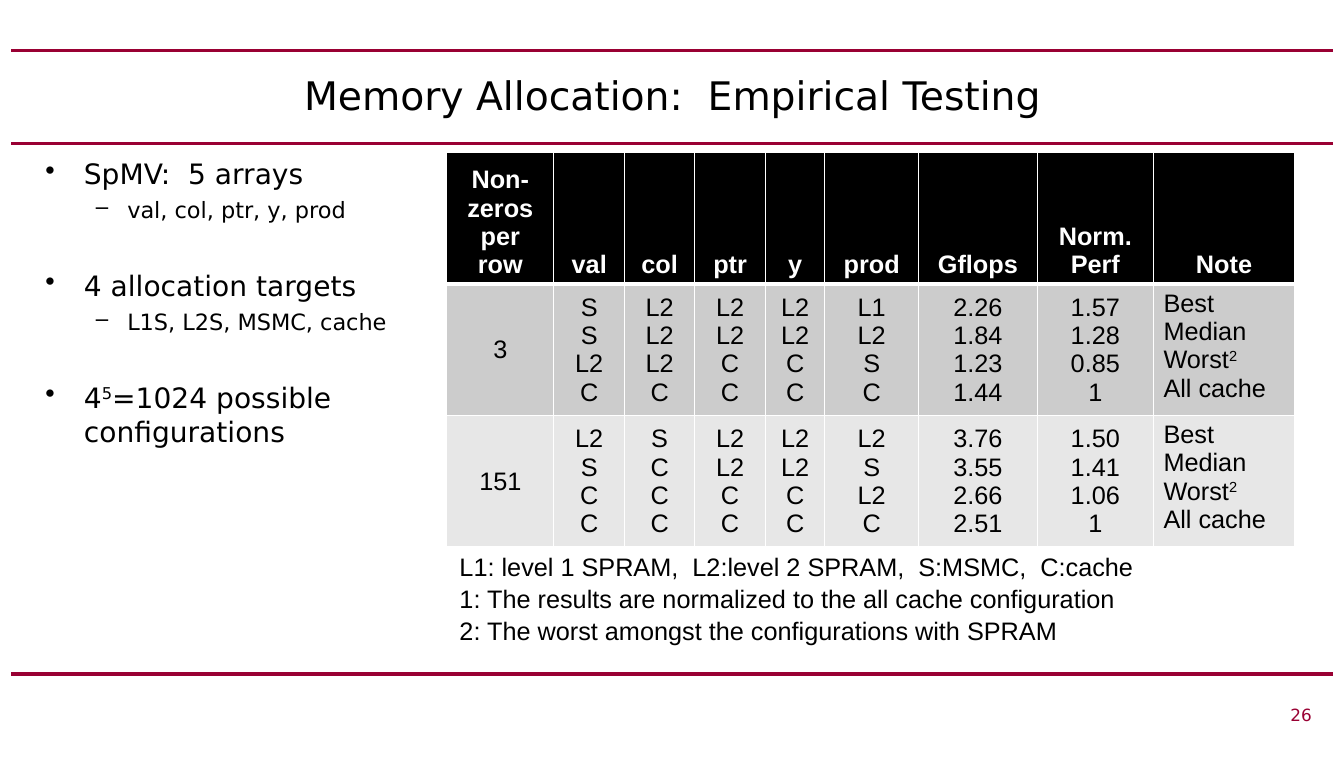
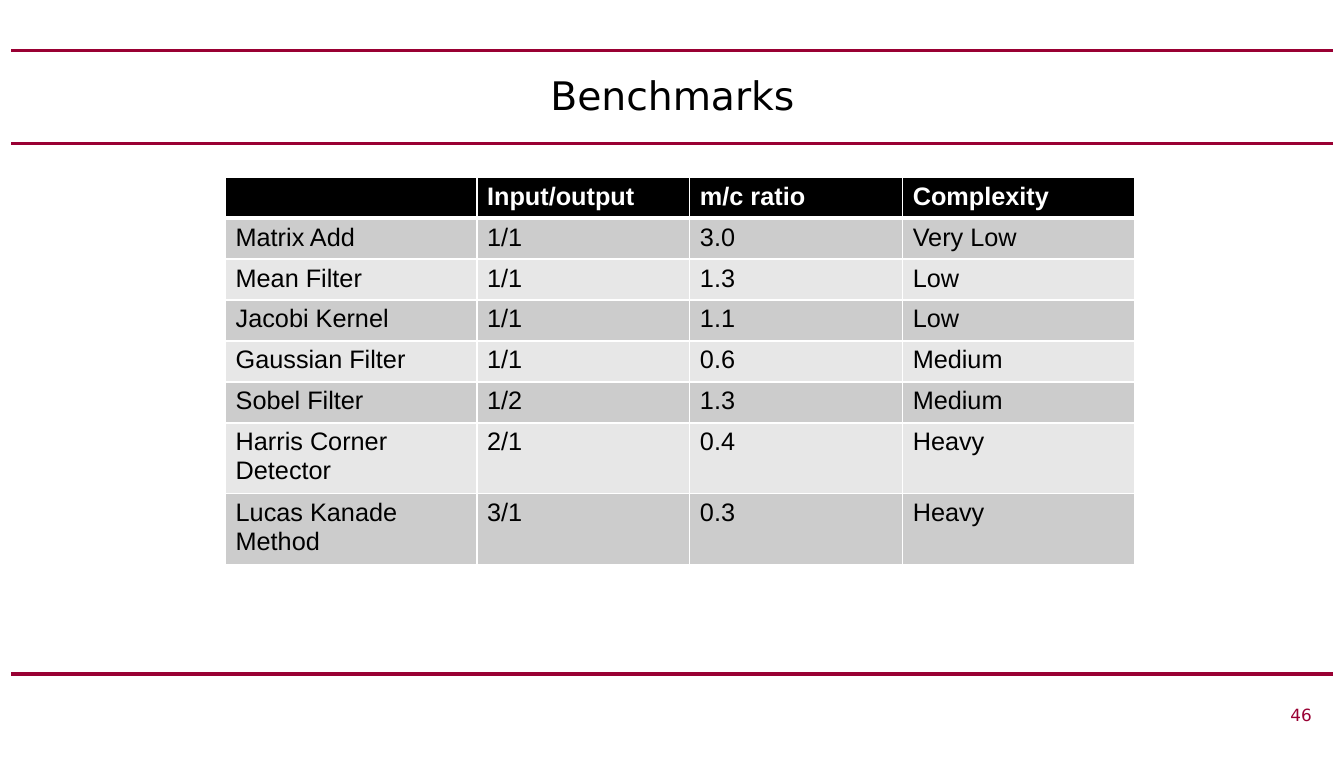
from lxml import etree
from pptx import Presentation
from pptx import util as u
from pptx.dml import color
from pptx.enum import shapes, text
from pptx.oxml import ns

MAROON, BLACK, WHITE = "990033", "000000", "FFFFFF"
BANDS = ("CCCCCC", "E7E7E7")
TITLE_FONT, TABLE_FONT = "DejaVu Sans", "Arial"
LEFT, CENTER, RIGHT = text.PP_ALIGN.LEFT, text.PP_ALIGN.CENTER, text.PP_ALIGN.RIGHT
TOP, MIDDLE, BOTTOM = text.MSO_ANCHOR.TOP, text.MSO_ANCHOR.MIDDLE, text.MSO_ANCHOR.BOTTOM


def rgb(value):
    return color.RGBColor.from_string(value)


def add_runs(paragraph, content, size, font, ink=BLACK, bold=False):
    """Add runs; parts between carets are superscript."""
    for index, part in enumerate(content.split("^")):
        if not part:
            continue
        run = paragraph.add_run()
        run.text = part
        run.font.size = u.Pt(size)
        run.font.name = font
        run.font.bold = bold
        run.font.color.rgb = rgb(ink)
        if index % 2:
            run._r.get_or_add_rPr().set("baseline", "30000")


def each_paragraph(frame, items):
    """Pair every item with a paragraph of the frame."""
    for index, item in enumerate(items):
        yield (frame.add_paragraph() if index else frame.paragraphs[0]), item


def add_text(slide, box, content, size, font, ink=BLACK, align=LEFT, anchor=TOP, gap=0):
    frame = slide.shapes.add_textbox(*map(u.Cm, box)).text_frame
    frame.word_wrap = True
    frame.vertical_anchor = anchor
    for index, (paragraph, line) in enumerate(each_paragraph(frame, content.split("\n"))):
        paragraph.alignment = align
        if index:
            paragraph.space_before = u.Pt(gap)
        add_runs(paragraph, line, size, font, ink)


def add_bullets(slide, box, items):
    frame = slide.shapes.add_textbox(*map(u.Cm, box)).text_frame
    frame.word_wrap = True
    styles = (("•", 0.97, -0.97, 20, 32.5), ("–", 2.06, -0.79, 16, 4))
    for index, (paragraph, (level, content)) in enumerate(each_paragraph(frame, items)):
        mark, margin, indent, size, before = styles[level]
        paragraph.level = level
        properties = paragraph._p.get_or_add_pPr()
        properties.set("marL", str(u.Cm(margin)))
        properties.set("indent", str(u.Cm(indent)))
        etree.SubElement(properties, ns.qn("a:buChar")).set("char", mark)
        if index:
            paragraph.space_before = u.Pt(before)
        add_runs(paragraph, content, size, TITLE_FONT)


def add_borders(cell, top, bottom):
    properties = cell._tc.get_or_add_tcPr()
    for side, width in (("L", 1), ("R", 1), ("T", top), ("B", bottom)):
        line = etree.SubElement(properties, ns.qn("a:ln" + side))
        line.set("w", str(u.Pt(width)))
        fill = etree.SubElement(line, ns.qn("a:solidFill"))
        etree.SubElement(fill, ns.qn("a:srgbClr")).set("val", WHITE)


def fill_cell(cell, content, row, align, anchor):
    header = row == 0
    add_borders(cell, 3 if row == 1 else 1, 3 if header else 1)
    cell.fill.solid()
    cell.fill.fore_color.rgb = rgb(BLACK if header else BANDS[(row - 1) % 2])
    cell.vertical_anchor = anchor
    for paragraph, line in each_paragraph(cell.text_frame, content.split("\n")):
        paragraph.alignment = align
        paragraph.font.size = u.Pt(18)
        add_runs(paragraph, line, 18, TABLE_FONT, WHITE if header else BLACK, header)


def add_table(slide, left, top, widths, heights, rows, style):
    """Draw a banded table; style(row, column) gives alignment and anchor."""
    frame = slide.shapes.add_table(len(heights), len(widths), u.Cm(left), u.Cm(top),
                                   u.Cm(sum(widths)), u.Cm(sum(heights)))
    table = frame.table
    table.first_row = table.horz_banding = False
    for column, width in zip(table.columns, widths):
        column.width = u.Cm(width)
    for row, height in zip(table.rows, heights):
        row.height = u.Cm(height)
    for row, contents in enumerate(rows):
        for column, content in enumerate(contents):
            fill_cell(table.cell(row, column), content, row, *style(row, column))


def add_rule(slide, y):
    rule = slide.shapes.add_connector(shapes.MSO_CONNECTOR.STRAIGHT,
                                      u.Cm(0.28), u.Cm(y), u.Cm(33.5), u.Cm(y))
    rule.line.color.rgb = rgb(MAROON)
    rule.line.width = u.Pt(2.25)
    etree.SubElement(rule._element.spPr, ns.qn("a:effectLst"))


def add_slide(presentation, title, number):
    slide = presentation.slides.add_slide(presentation.slide_layouts[6])
    for y in (1.27, 3.61, 16.94):
        add_rule(slide, y)
    add_text(slide, (1.7, 1.27, 30.4, 2.21), title, 28, TITLE_FONT,
             align=CENTER, anchor=MIDDLE)
    add_text(slide, (30.7, 17.58, 2.52, 0.84), str(number), 12, TITLE_FONT, MAROON, RIGHT)
    return slide


def allocation_style(row, column):
    if row == 0:
        return CENTER, BOTTOM
    return (LEFT, TOP) if column == 8 else (CENTER, MIDDLE)


def add_allocation_slide(presentation):
    slide = add_slide(presentation, "Memory Allocation:  Empirical Testing", 26)
    notes = "Best\nMedian\nWorst^2^\nAll cache"
    rows = (
        ("Non-zeros per row", "val", "col", "ptr", "y", "prod", "Gflops", "Norm.\nPerf", "Note"),
        ("3", "S\nS\nL2\nC", "L2\nL2\nL2\nC", "L2\nL2\nC\nC", "L2\nL2\nC\nC", "L1\nL2\nS\nC",
         "2.26\n1.84\n1.23\n1.44", "1.57\n1.28\n0.85\n1", notes),
        ("151", "L2\nS\nC\nC", "S\nC\nC\nC", "L2\nL2\nC\nC", "L2\nL2\nC\nC", "L2\nS\nL2\nC",
         "3.76\n3.55\n2.66\n2.51", "1.50\n1.41\n1.06\n1", notes),
    )
    widths = (2.69, 1.78, 1.76, 1.78, 1.49, 2.36, 2.98, 2.92, 3.55)
    add_table(slide, 11.23, 3.84, widths, [3.09] * 3, rows, allocation_style)
    add_text(slide, (11.3, 13.72, 21.21, 2.57),
             "L1: level 1 SPRAM,  L2:level 2 SPRAM,  S:MSMC,  C:cache\n"
             "1: The results are normalized to the all cache configuration\n"
             "2: The worst amongst the configurations with SPRAM",
             18, TABLE_FONT, gap=1.5)
    add_bullets(slide, (0.89, 3.81, 9.9, 8.05), (
        (0, "SpMV:  5 arrays"),
        (1, "val, col, ptr, y, prod"),
        (0, "4 allocation targets"),
        (1, "L1S, L2S, MSMC, cache"),
        (0, "4^5^=1024 possible configurations"),
    ))


def add_benchmark_slide(presentation):
    slide = add_slide(presentation, "Benchmarks", 46)
    rows = (
        ("", "Input/output", "m/c ratio", "Complexity"),
        ("Matrix Add", "1/1", "3.0", "Very Low"),
        ("Mean Filter", "1/1", "1.3", "Low"),
        ("Jacobi Kernel", "1/1", "1.1", "Low"),
        ("Gaussian Filter", "1/1", "0.6", "Medium"),
        ("Sobel Filter", "1/2", "1.3", "Medium"),
        ("Harris Corner Detector", "2/1", "0.4", "Heavy"),
        ("Lucas Kanade Method", "3/1", "0.3", "Heavy"),
    )
    heights = [1.03] * 6 + [1.68] * 2
    add_table(slide, 5.67, 4.45, (6.32, 5.35, 5.35, 5.84), heights, rows,
              lambda row, column: (LEFT, TOP))


def main():
    presentation = Presentation()
    presentation.slide_width = u.Cm(33.78)
    presentation.slide_height = u.Cm(19.05)
    add_allocation_slide(presentation)
    add_benchmark_slide(presentation)
    presentation.save("out.pptx")


if __name__ == "__main__":
    main()
